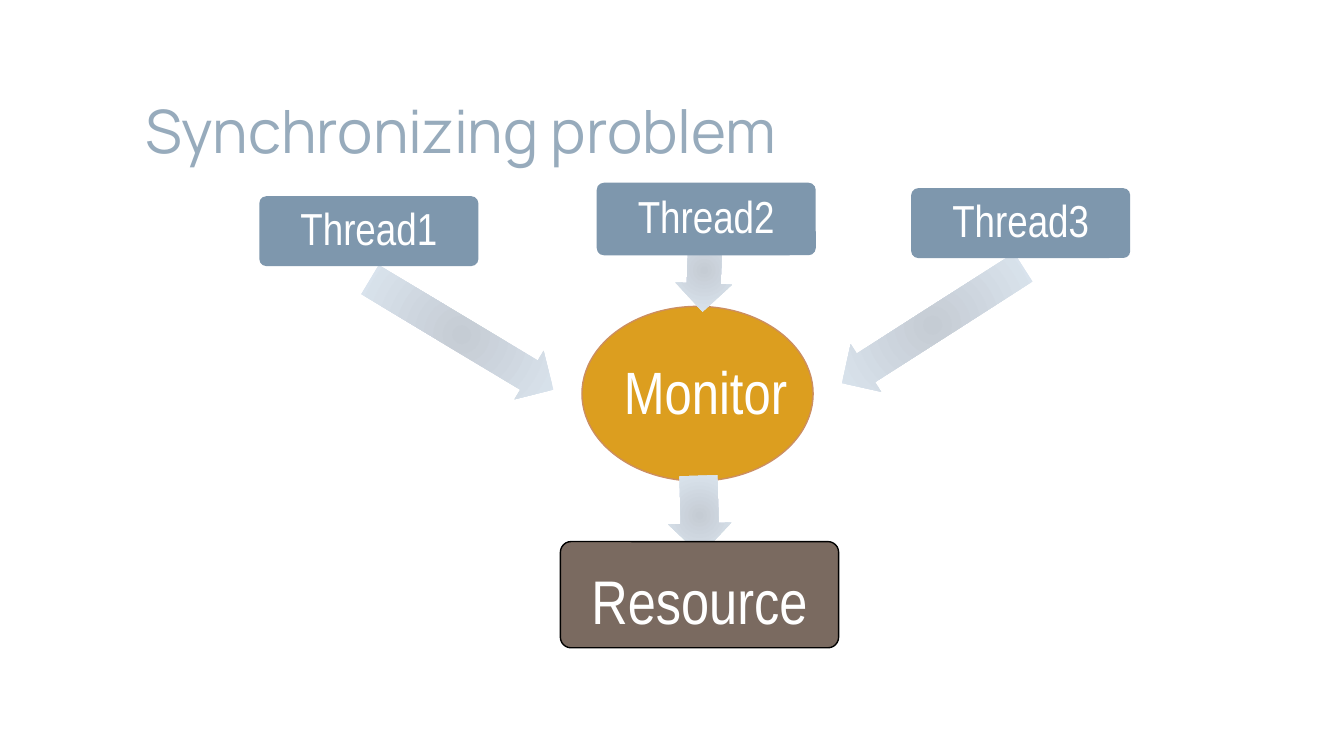
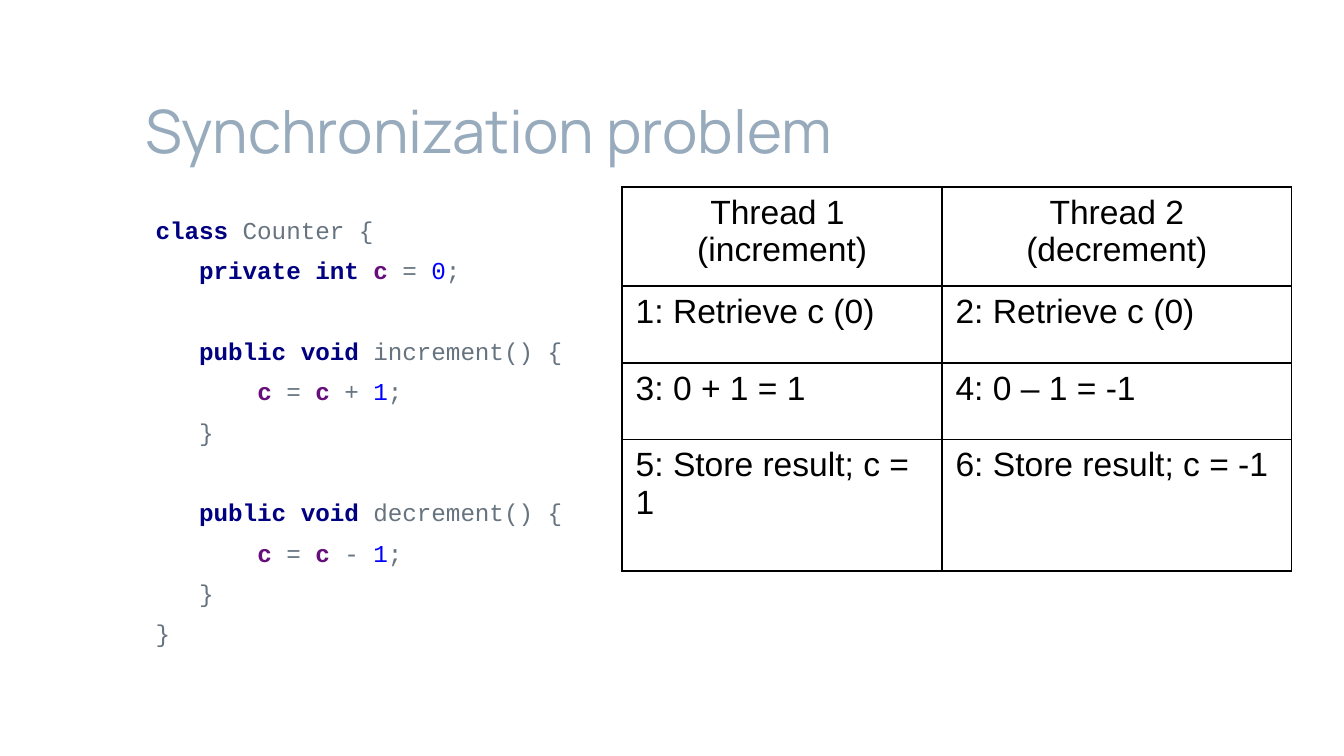
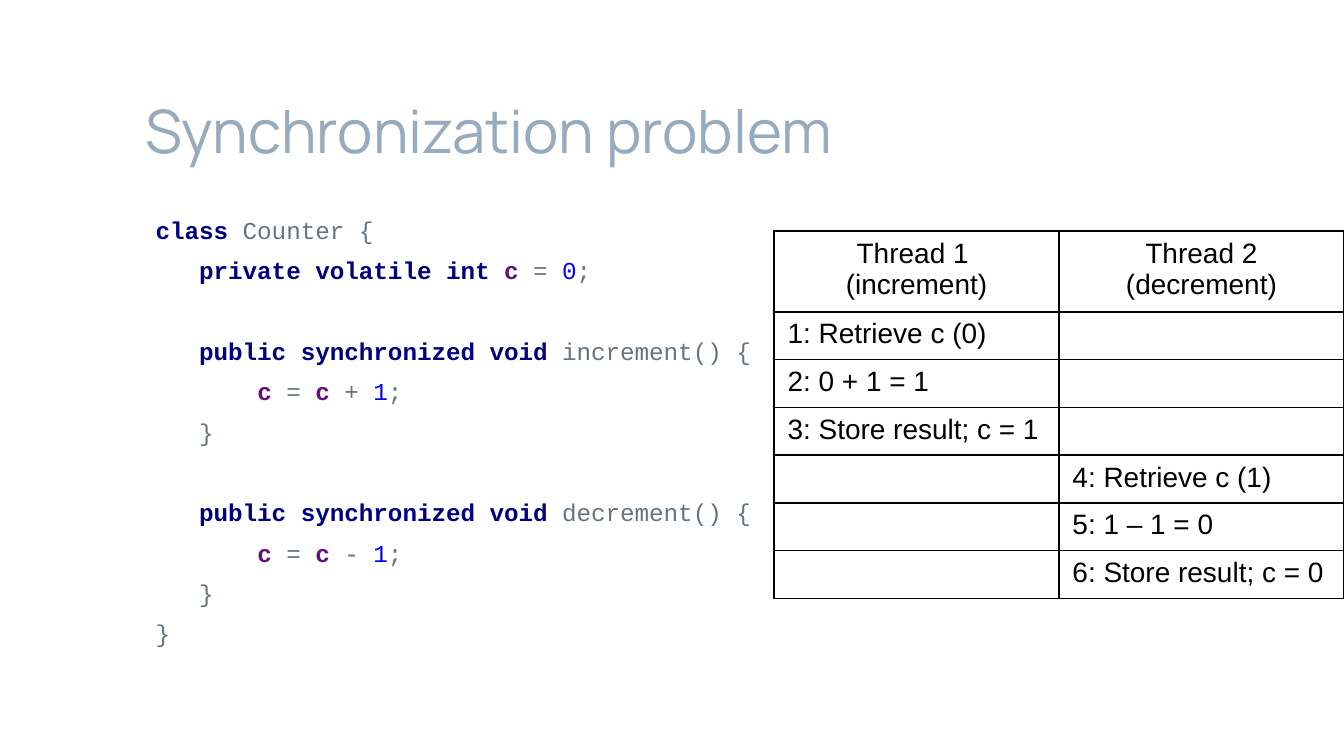
from itertools import groupby

from lxml.etree import SubElement
from pptx import Presentation
from pptx.dml.color import RGBColor
from pptx.enum.shapes import MSO_SHAPE
from pptx.enum.text import MSO_ANCHOR, MSO_AUTO_SIZE, PP_ALIGN
from pptx.oxml.ns import qn
from pptx.util import Inches, Pt

COLORS = {
    "title": "97ABBC", "thread": "7E97AD", "monitor": "DC9E1F", "monitor_line": "CC8E60",
    "resource": "7A6A60", "arrow_center": "C5CCD4", "arrow_edge": "DDE7F1",
    "white": "FFFFFF", "black": "000000",
    "code": "677480", "keyword": "000080", "field": "660E7A", "number": "0000FF",
}
FONTS = {"title": "Manrope", "label": "Arial Narrow", "code": "Courier New", "table": "Arial"}
KEYWORDS = {"class", "private", "public", "volatile", "synchronized", "int", "void"}
TABLE_HEAD = ["Thread 1 \n(increment)", "Thread 2\n(decrement)"]


def rgb(name):
    return RGBColor.from_string(COLORS[name])


def code_tokens(line):
    """Yield (text, colour name) for each piece of a code line."""
    body = line.lstrip()
    yield line[:len(line) - len(body)], "code"
    words = body.split(" ")
    for i, word in enumerate(words):
        gap = " " if i < len(words) - 1 else ""
        if word in KEYWORDS:
            yield word + gap, "keyword"
        elif word == "c":
            yield word + gap, "field"
        elif word.rstrip(";").isdigit():
            yield word.rstrip(";"), "number"
            yield ";" + gap, "code"
        else:
            yield word + gap, "code"


def counter_code(field_mods="", method_mods=""):
    lines = ["class Counter {", f"   private {field_mods}int c = 0;"]
    for name, sign in (("increment", "+"), ("decrement", "-")):
        lines += ["", f"   public {method_mods}void {name}() {{",
                  f"       c = c {sign} 1;", "   }"]
    return lines + ["}"]


class Deck:
    def __init__(self):
        self.prs = Presentation()
        self.prs.slide_width = Inches(10)
        self.prs.slide_height = Inches(10) * 9 // 16
        self.s = None

    def run(self, p, text, font, size, color, bold=False):
        r = p.add_run()
        r.text = text
        r.font.name, r.font.size, r.font.bold = FONTS[font], Pt(size), bold
        r.font.color.rgb = rgb(color)

    def frame(self, tf, margins, anchor, wrap=True):
        tf.auto_size = MSO_AUTO_SIZE.NONE
        tf.word_wrap, tf.vertical_anchor = wrap, anchor
        tf.margin_left, tf.margin_top, tf.margin_right, tf.margin_bottom = map(Inches, margins)
        return tf

    def slide(self, title):
        self.s = self.prs.slides.add_slide(self.prs.slide_layouts[5])
        sp = self.s.shapes.title
        sp.left, sp.top, sp.width, sp.height = map(Inches, (0.98, 0.39, 7.07, 0.94))
        p = self.frame(sp.text_frame, [0.1] * 4, MSO_ANCHOR.BOTTOM).paragraphs[0]
        p.alignment = PP_ALIGN.LEFT
        self.run(p, title, "title", 32, "title")

    def shape(self, kind, at):
        sp = self.s.shapes.add_shape(kind, *map(Inches, at))
        sp.shadow.inherit = False
        sp.line.fill.background()
        return sp

    def node(self, kind, at, text, size, fill, line=None, margins=(0.07,) * 4):
        sp = self.shape(kind, at)
        if kind == MSO_SHAPE.ROUNDED_RECTANGLE:
            sp.adjustments[0] = 0.1
        sp.fill.solid()
        sp.fill.fore_color.rgb = rgb(fill)
        if line:
            sp.line.color.rgb, sp.line.width = rgb(line), Pt(0.75)
        p = self.frame(sp.text_frame, margins, MSO_ANCHOR.MIDDLE, wrap=False).paragraphs[0]
        p.alignment, p.line_spacing = PP_ALIGN.CENTER, 0.9
        self.run(p, text, "label", size, "white")

    def arrow(self, at, rotation):
        sp = self.shape(MSO_SHAPE.LEFT_ARROW, at)
        sp.rotation = rotation
        sp.adjustments[0], sp.adjustments[1] = 0.6, 0.5
        sp.fill.gradient()
        for stop, color in zip(sp.fill.gradient_stops, ("arrow_center", "arrow_edge")):
            stop.color.rgb = rgb(color)
        # Radial gradient from the centre
        grad = sp._element.spPr.find(qn("a:gradFill"))
        grad.remove(grad.find(qn("a:lin")))
        radial = SubElement(grad, qn("a:path"), path="circle")
        SubElement(radial, qn("a:fillToRect"), l="50000", t="50000", r="50000", b="50000")

    def code(self, lines):
        sp = self.s.shapes.add_textbox(*map(Inches, (0.98, 1.5, 7.07, 3.88)))
        tf = self.frame(sp.text_frame, [0.1] * 4, MSO_ANCHOR.TOP)
        p, before = tf.paragraphs[0], 0
        for line in lines:
            if not line:
                before = 27.6  # one empty line plus the normal gap
                continue
            if p.runs:
                p = tf.add_paragraph()
            pPr = p._p.get_or_add_pPr()
            pPr.set("marL", str(Inches(0.5)))
            pPr.set("indent", str(Inches(-0.42)))
            p.line_spacing, p.space_before = 1.0, Pt(before)
            for color, group in groupby(code_tokens(line), key=lambda t: t[1]):
                text = "".join(t[0] for t in group)
                if text:
                    self.run(p, text, "code", 13, color, color in ("keyword", "field"))
            before = 6

    def border(self, cell):
        tcPr = cell._tc.get_or_add_tcPr()
        for side in ("lnL", "lnR", "lnT", "lnB"):
            ln = SubElement(tcPr, qn(f"a:{side}"), w=str(Pt(1)))
            SubElement(SubElement(ln, qn("a:solidFill")), qn("a:srgbClr"), val=COLORS["black"])

    def table(self, left, top, widths, heights, rows, size):
        box = map(Inches, (left, top, sum(widths), sum(heights)))
        tbl = self.s.shapes.add_table(len(rows), len(widths), *box).table
        tbl.first_row = tbl.horz_banding = False
        for col, width in zip(tbl.columns, widths):
            col.width = Inches(width)
        for i, (row, height, texts) in enumerate(zip(tbl.rows, heights, rows)):
            row.height = Inches(height)
            for cell, text in zip(row.cells, texts):
                self.border(cell)
                cell.fill.background()
                tf = cell.text_frame
                for j, line in enumerate(text.split("\n")):
                    p = tf.add_paragraph() if j else tf.paragraphs[0]
                    p.alignment = PP_ALIGN.LEFT if i else PP_ALIGN.CENTER
                    if line:
                        self.run(p, line, "table", size, "black")
                    else:  # keeps an empty row at its height
                        SubElement(p._p, qn("a:endParaRPr"), sz=str(size * 100))


def main():
    deck = Deck()

    # Slide 1: threads reach the resource through the monitor
    deck.slide("Synchronizing problem")
    deck.node(MSO_SHAPE.OVAL, (4.33, 2.28, 1.72, 1.3), "Monitor", 32, "monitor",
              "monitor_line", margins=(0.12, 0.02, 0, 0))
    threads = [
        ((1.93, 1.46, 1.63, 0.52), (2.64, 2.28, 1.59, 0.42), 211),
        ((4.44, 1.36, 1.63, 0.54), (4.93, 1.8, 0.62, 0.42), 272.3),
        ((6.78, 1.4, 1.63, 0.52), (6.14, 2.21, 1.6, 0.42), 327.4),
    ]
    for n, (thread_at, arrow_at, rotation) in enumerate(threads, 1):
        deck.arrow(arrow_at, rotation)
        deck.node(MSO_SHAPE.ROUNDED_RECTANGLE, thread_at, f"Thread{n}", 24, "thread")
    deck.arrow((4.91, 3.6, 0.59, 0.47), 268.4)
    deck.node(MSO_SHAPE.ROUNDED_RECTANGLE, (4.17, 4.03, 2.07, 0.79), "Resource", 33,
              "resource", "black", margins=(0.07, 0.2, 0.07, 0.05))

    # Slide 2: unsynchronized counter
    deck.slide("Synchronization problem")
    deck.code(counter_code())
    deck.table(4.63, 1.39, [2.38, 2.6], [0.74, 0.57, 0.57, 0.98], [
        TABLE_HEAD,
        ["1: Retrieve c (0)", "2: Retrieve c (0)"],
        ["3: 0 + 1 = 1", "4: 0 – 1 = -1"],
        ["5: Store result; c = 1", "6: Store result; c = -1"],
    ], 18)

    # Slide 3: synchronized counter
    deck.slide("Synchronization problem")
    deck.code(counter_code("volatile ", "synchronized "))
    first = ["1: Retrieve c (0)", "2: 0 + 1 = 1", "3: Store result; c = 1"]
    second = ["4: Retrieve c (1)", "5: 1 – 1 = 0", "6: Store result; c = 0"]
    steps = [[text, ""] for text in first] + [["", text] for text in second]
    deck.table(5.76, 1.72, [2.12] * 2, [0.6] + [0.35] * len(steps), [TABLE_HEAD] + steps, 15)

    deck.prs.save("out.pptx")


if __name__ == "__main__":
    main()
